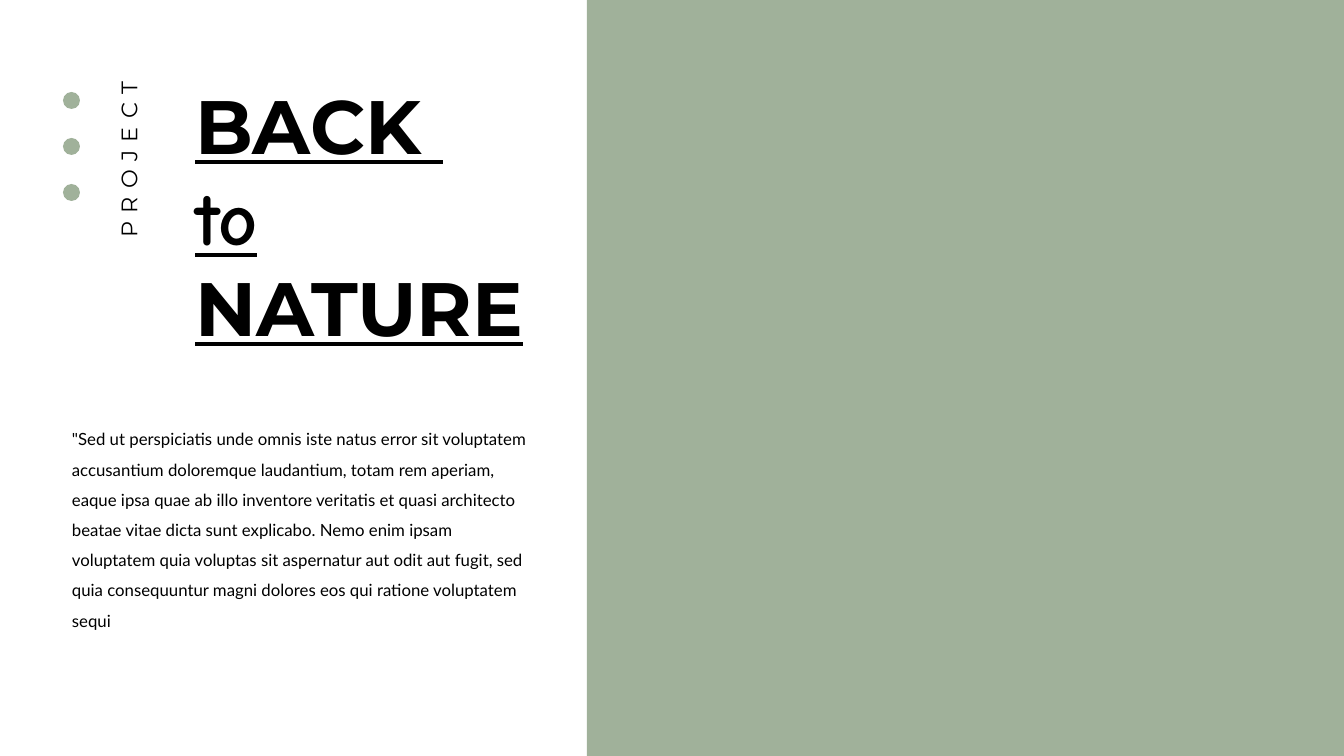
from pptx import Presentation
from pptx.dml.color import RGBColor
from pptx.enum.shapes import MSO_SHAPE
from pptx.enum.text import MSO_ANCHOR, MSO_AUTO_SIZE, PP_ALIGN
from pptx.util import Pt

RECT, OVAL = MSO_SHAPE.RECTANGLE, MSO_SHAPE.OVAL
TOP, NO_FIT = MSO_ANCHOR.TOP, MSO_AUTO_SIZE.NONE
LEFT, RIGHT = PP_ALIGN.LEFT, PP_ALIGN.RIGHT

# Content
TITLE = [("BACK ", "Montserrat"), ("to", "Comic Neue"), ("NATURE", "Montserrat")]
LABEL = "PROJECT"
BODY = (
    "\"Sed ut perspiciatis unde omnis iste natus error sit voluptatem "
    "accusantium doloremque laudantium, totam rem aperiam, eaque ipsa quae ab "
    "illo inventore veritatis et quasi architecto beatae vitae dicta sunt "
    "explicabo. Nemo enim ipsam voluptatem quia voluptas sit aspernatur aut "
    "odit aut fugit, sed quia consequuntur magni dolores eos qui ratione "
    "voluptatem sequi"
)

# Theme and layout, lengths in px
THEME = {
    "sage": RGBColor(0xA0, 0xB1, 0x9A),
    "ink": RGBColor(0, 0, 0),
    "title": 54,
    "label": 16,
    "body": 12,
}
SLIDE_W, SLIDE_H = 1344, 756
PANEL_X = 587
TITLE_BOX = (185, 74, 355, 285)
LABEL_BOX = (110, 72, 47, 284)
BODY_BOX = (62, 414, 478, 242)
DOT_X, DOT_Y, DOT_SIZE, DOT_STEP, DOT_COUNT = 63, 92, 17, 46, 3
EMU_PER_PX = 914400 / 100.8


def px(*lengths):
    return [round(n * EMU_PER_PX) for n in lengths]


def add_block(slide, kind, *box):
    sp = slide.shapes.add_shape(kind, *px(*box))
    sp.shadow.inherit = False
    sp.fill.solid()
    sp.fill.fore_color.rgb = THEME["sage"]
    sp.line.fill.background()


def set_frame(tf):
    tf.word_wrap = True
    tf.auto_size = NO_FIT
    tf.vertical_anchor = TOP


def style(p, font, size, align=LEFT, bold=False):
    p.alignment = align
    p.font.name = font
    p.font.size = Pt(THEME[size])
    p.font.bold = bold
    p.font.color.rgb = THEME["ink"]


prs = Presentation()
prs.slide_width, prs.slide_height = px(SLIDE_W, SLIDE_H)
slide = prs.slides.add_slide(prs.slide_layouts[5])

# Colour panel
add_block(slide, RECT, PANEL_X, 0, SLIDE_W - PANEL_X, SLIDE_H)

# Title
title = slide.shapes.title
title.left, title.top, title.width, title.height = px(*TITLE_BOX)
tf = title.text_frame
set_frame(tf)
tf.text = "\n".join(text for text, font in TITLE)
for p, (text, font) in zip(tf.paragraphs, TITLE):
    style(p, font, "title", bold=True)
    p.font.underline = True

# Body text
tf = slide.shapes.add_textbox(*px(*BODY_BOX)).text_frame
set_frame(tf)
p = tf.paragraphs[0]
p.text = BODY
p.line_spacing = 1.5
style(p, "Lato", "body")

# Dots
for i in range(DOT_COUNT):
    add_block(slide, OVAL, DOT_X, DOT_Y + i * DOT_STEP, DOT_SIZE, DOT_SIZE)

# Vertical label
tf = slide.shapes.add_textbox(*px(*LABEL_BOX)).text_frame
set_frame(tf)
tf._txBody.bodyPr.set("vert", "vert270")
p = tf.paragraphs[0]
r = p.add_run()
r.text = LABEL
style(p, "Montserrat", "label", RIGHT)
r._r.get_or_add_rPr().set("spc", "600")

prs.save("out.pptx")
